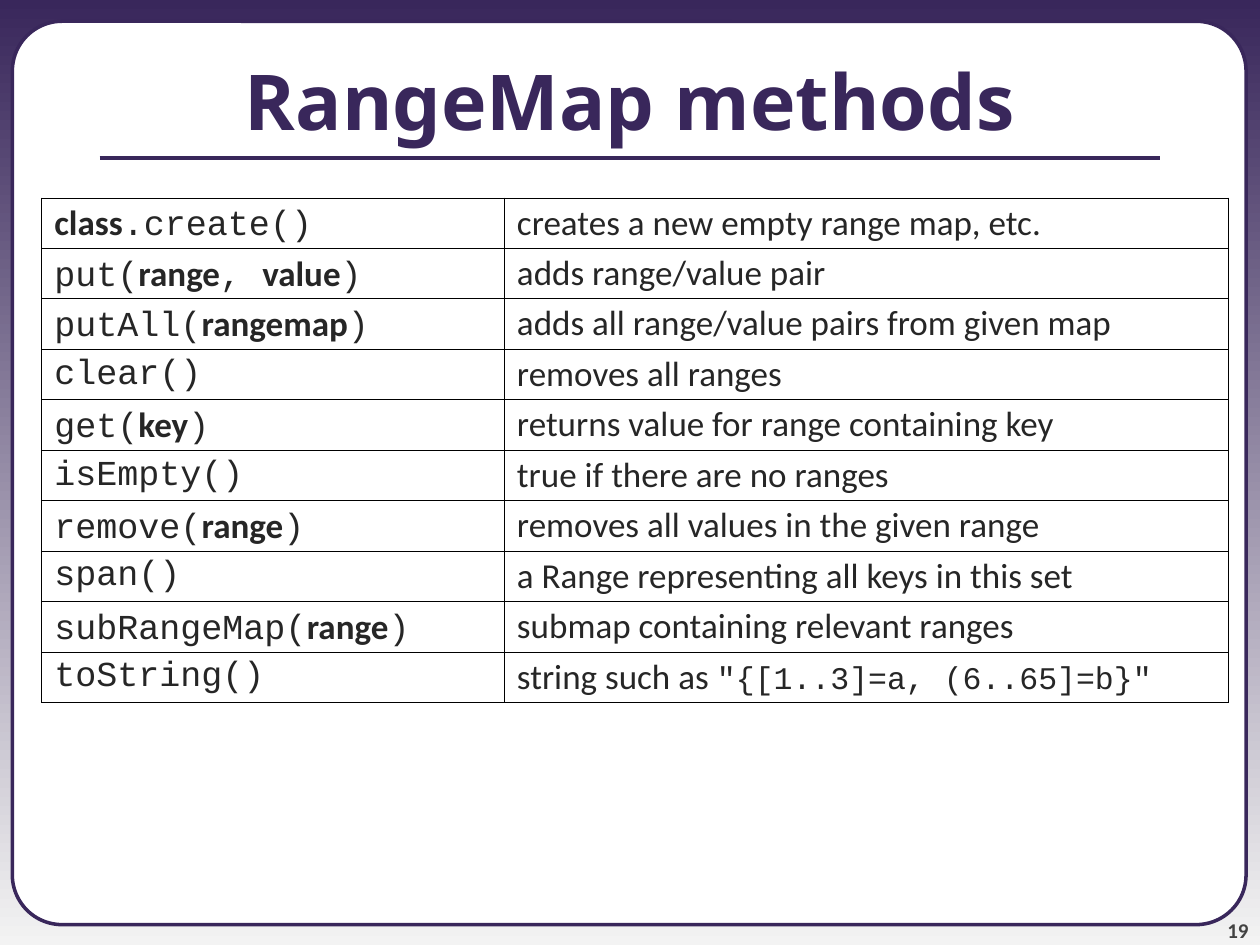
import lxml.etree
import pptx
import pptx.dml.color
import pptx.enum.shapes
import pptx.enum.text
import pptx.oxml
import pptx.oxml.ns
import pptx.util

Cm = pptx.util.Cm
Pt = pptx.util.Pt
ALIGN = pptx.enum.text.PP_ALIGN
ANCHOR = pptx.enum.text.MSO_ANCHOR

COLORS = {
    "purple": "39275B",
    "fade": "F3F3F3",
    "panel": "FFFFFF",
    "number": "424242",
    "text": "262626",
    "border": "000000",
}

FONTS = {
    "title": {"name": "Noto Sans", "size": Pt(44), "bold": True},
    "number": {"name": "Calibri", "size": Pt(12), "bold": True},
    "prose": {"name": "Calibri", "size": Pt(20), "bold": False},
    "argument": {"name": "Calibri", "size": Pt(20), "bold": True},
    "code": {"name": "Courier New", "size": Pt(20), "bold": False},
    "sample": {"name": "Courier New", "size": Pt(18), "bold": False},
}

METHODS = [
    (["", "class", ".create()"], ["creates a new empty range map, etc."]),
    (["put(", "range", ", ", "value", ")"], ["adds range/value pair"]),
    (["putAll(", "rangemap", ")"], ["adds all range/value pairs from given map"]),
    (["clear()"], ["removes all ranges"]),
    (["get(", "key", ")"], ["returns value for range containing key"]),
    (["isEmpty()"], ["true if there are no ranges"]),
    (["remove(", "range", ")"], ["removes all values in the given range"]),
    (["span()"], ["a Range representing all keys in this set"]),
    (["subRangeMap(", "range", ")"], ["submap containing relevant ranges"]),
    (["toString()"], ["string such as ", '"{[1..3]=a, (6..65]=b}"']),
]
COLUMN_STYLES = [("code", "argument"), ("prose", "sample")]
COLUMN_SHARES = [0.39, 0.61]


def color(name):
    return pptx.dml.color.RGBColor.from_string(COLORS[name])


def apply_format(target, values):
    for name, value in values.items():
        setattr(target, name, value)


def add_run(paragraph, text, style, color_name):
    run = paragraph.add_run()
    run.text = text
    apply_format(run.font, FONTS[style])
    run.font.color.rgb = color(color_name)


def add_label(slide, box, text, style, color_name, frame_format, paragraph_format):
    frame = slide.shapes.add_textbox(*map(Cm, box)).text_frame
    apply_format(frame, {"word_wrap": True, **frame_format})
    paragraph = frame.paragraphs[0]
    apply_format(paragraph, paragraph_format)
    add_run(paragraph, text, style, color_name)


def add_background(slide):
    fill = slide.background.fill
    fill.gradient()
    fill.gradient_angle = 270
    for stop, name in zip(fill.gradient_stops, ("purple", "fade")):
        stop.color.rgb = color(name)


def add_panel(slide, box):
    shape = slide.shapes.add_shape(
        pptx.enum.shapes.MSO_SHAPE.ROUNDED_RECTANGLE, *map(Cm, box))
    shape.shadow.inherit = False
    shape.adjustments[0] = 0.055
    shape.fill.solid()
    shape.fill.fore_color.rgb = color("panel")
    shape.line.color.rgb = color("purple")
    shape.line.width = Pt(2)


def add_title(slide, box):
    left, top, width, height = box
    margin = 2.01
    rule_top = top + 2.75
    rule = slide.shapes.add_connector(
        pptx.enum.shapes.MSO_CONNECTOR.STRAIGHT,
        Cm(left + margin), Cm(rule_top), Cm(left + width - margin), Cm(rule_top))
    rule.line.color.rgb = color("purple")
    rule.line.width = Pt(2.25)
    lxml.etree.SubElement(rule._element.spPr, pptx.oxml.ns.qn("a:effectLst"))
    add_label(slide, box, "RangeMap methods", "title", "purple",
              {"vertical_anchor": ANCHOR.MIDDLE}, {"alignment": ALIGN.CENTER})


def add_page_number(slide, box):
    margins = dict.fromkeys(
        ("margin_left", "margin_top", "margin_right", "margin_bottom"), 0)
    add_label(slide, box, "19", "number", "number",
              {"vertical_anchor": ANCHOR.BOTTOM, **margins},
              {"alignment": ALIGN.RIGHT})


def add_borders(cell):
    properties = cell._tc.get_or_add_tcPr()
    namespace = pptx.oxml.ns.nsdecls("a")
    for index, side in enumerate(("lnL", "lnR", "lnT", "lnB")):
        border = pptx.oxml.parse_xml(
            f'<a:{side} {namespace} w="{Pt(0.45)}"><a:solidFill>'
            f'<a:srgbClr val="{COLORS["border"]}"/></a:solidFill></a:{side}>')
        properties.insert(index, border)


def fill_cell(cell, pieces, styles):
    cell.fill.background()
    add_borders(cell)
    paragraph = cell.text_frame.paragraphs[0]
    paragraph.line_spacing = 0.9
    apply_format(paragraph._p.get_or_add_pPr(), {"marL": Cm(0.15), "indent": 0})
    for index, piece in enumerate(pieces):
        if piece:
            add_run(paragraph, piece, styles[index % 2], "text")


def add_method_table(slide, box):
    left, top, width, height = box
    table = slide.shapes.add_table(
        len(METHODS), len(COLUMN_SHARES), *map(Cm, box)).table
    apply_format(table, {"first_row": False, "horz_banding": False})
    for column, share in zip(table.columns, COLUMN_SHARES):
        column.width = Cm(width * share)
    for row, method in zip(table.rows, METHODS):
        row.height = Cm(height / len(METHODS))
        for cell, pieces, styles in zip(row.cells, method, COLUMN_STYLES):
            fill_cell(cell, pieces, styles)


def main():
    presentation = pptx.Presentation()
    apply_format(presentation, {"slide_width": Cm(25.4), "slide_height": Cm(19.05)})
    slide = presentation.slides.add_slide(presentation.slide_layouts[6])
    add_background(slide)
    add_panel(slide, (0.25, 0.43, 24.87, 18.21))
    add_page_number(slide, (23.06, 17.98, 2.11, 1.02))
    add_title(slide, (0, 0.43, 25.4, 3.18))
    add_method_table(slide, (0.84, 3.99, 23.92, 10.16))
    presentation.save("out.pptx")


if __name__ == "__main__":
    main()
